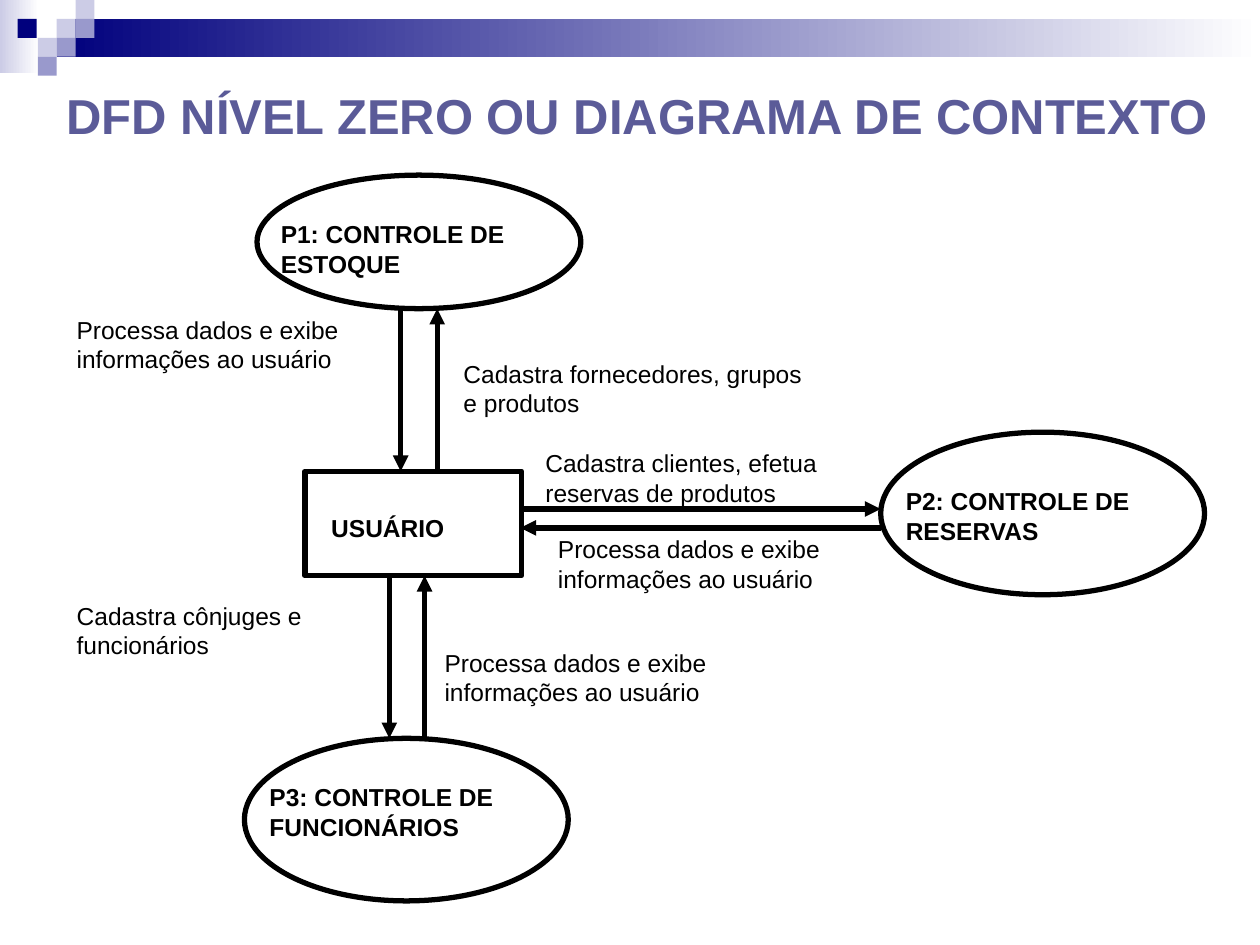
from pptx import Presentation
from pptx import util as u
from pptx.dml.color import RGBColor
from pptx.enum import shapes, text
from pptx.oxml.ns import qn
from lxml import etree

COLORS = {"ink": "000000", "title": "5B5B98", "navy": "00007D",
          "pale": "CCCCE6", "mid": "9999CC", "white": "FFFFFF"}
LABEL = {"name": "Arial", "size": u.Pt(14), "bold": False}
NAME = {**LABEL, "bold": True}
TITLE = {**NAME, "size": u.Pt(28)}
OVAL = shapes.MSO_SHAPE.OVAL
RECTANGLE = shapes.MSO_SHAPE.RECTANGLE

SQUARE = 0.15
SQUARES = [  # left, top, colour
    (0.45, 0.15, "pale"), (0.6, 0, "pale"), (0.6, 0.15, "mid"),
    (0.3, 0.3, "pale"), (0.14, 0.15, "navy"), (0.45, 0.3, "mid"),
    (0.3, 0.45, "mid")]
NODES = [  # preset, outline place, name, name place
    (OVAL, (2.04, 1.39, 2.57, 1.06), "P1: CONTROLE DE ESTOQUE", (2.13, 1.69, 2.48, 0.57)),
    (OVAL, (6.99, 3.43, 2.57, 1.29), "P2: CONTROLE DE RESERVAS", (7.09, 3.81, 2.48, 0.57)),
    (OVAL, (1.94, 5.86, 2.57, 1.29), "P3: CONTROLE DE FUNCIONÁRIOS", (2.04, 6.16, 2.48, 0.57)),
    (RECTANGLE, (2.42, 3.74, 1.72, 0.83), "USUÁRIO", (2.53, 4.02, 1.79, 0.34))]
REPLY = "Processa dados e exibe informações ao usuário"
FLOWS = [  # arrow start, arrow end, label, label left, top, width
    ((3.18, 2.45), (3.18, 3.74), REPLY, 0.51, 2.45, 2.86),
    ((3.47, 3.73), (3.47, 2.45), "Cadastra fornecedores, grupos e produtos", 3.58, 2.8, 2.95),
    ((4.13, 4.04), (6.99, 4.04), "Cadastra clientes, efetua reservas de produtos", 4.23, 3.51, 2.95),
    ((6.99, 4.19), (4.13, 4.19), REPLY, 4.33, 4.19, 2.86),
    ((3.09, 4.57), (3.09, 5.86), "Cadastra cônjuges e funcionários", 0.51, 4.72, 2.95),
    ((3.37, 5.86), (3.37, 4.57), REPLY, 3.43, 5.09, 2.86)]


def inches(values):
    return [u.Inches(value) for value in values]


def rgb(name):
    return RGBColor.from_string(COLORS[name])


def add_block(page, place, *colors):
    """Borderless rectangle: one colour is solid, two make a gradient."""
    block = page.shapes.add_shape(RECTANGLE, *inches(place))
    block.shadow.inherit = False
    block.line.fill.background()
    if len(colors) == 1:
        block.fill.solid()
        block.fill.fore_color.rgb = rgb(colors[0])
    else:
        block.fill.gradient()
        block.fill.gradient_angle = 0
        for stop, position, color in zip(block.fill.gradient_stops, (0, 1), colors):
            stop.position = position
            stop.color.rgb = rgb(color)


def add_text(page, place, words, style, color="ink", anchor=text.MSO_ANCHOR.TOP):
    box = page.shapes.add_textbox(*inches(place))
    frame = box.text_frame
    frame.word_wrap = True
    frame.vertical_anchor = anchor
    span = frame.paragraphs[0].add_run()
    span.text = words
    for key, value in style.items():
        setattr(span.font, key, value)
    span.font.color.rgb = rgb(color)


def set_stroke(line):
    line.color.rgb = rgb("ink")
    line.width = u.Pt(3)


def add_node(page, preset, place, name, name_place):
    node = page.shapes.add_shape(preset, *inches(place))
    node.shadow.inherit = False
    node.fill.background()
    set_stroke(node.line)
    add_text(page, name_place, name, NAME)


def add_arrow(page, start, end):
    arrow = page.shapes.add_connector(
        shapes.MSO_CONNECTOR.STRAIGHT, *inches(start + end))
    set_stroke(arrow.line)
    properties = arrow._element.spPr
    etree.SubElement(properties.find(qn("a:ln")), qn("a:tailEnd"), type="triangle")
    etree.SubElement(properties, qn("a:effectLst"))


def main():
    deck = Presentation()
    deck.slide_width, deck.slide_height = inches((10, 7.5))
    page = deck.slides.add_slide(deck.slide_layouts[6])

    # Header band and squares
    add_block(page, (0, 0, 0.31, 0.58), "pale", "white")
    add_block(page, (0.45, 0.15, 9.55, 0.3), "navy", "white")
    for left, top, color in SQUARES:
        add_block(page, (left, top, SQUARE, SQUARE), color)

    # Title
    add_text(page, (0.43, 0.68, 9.77, 0.47), "DFD NÍVEL ZERO OU DIAGRAMA DE CONTEXTO",
             TITLE, "title", text.MSO_ANCHOR.MIDDLE)

    # Processes and user
    for node in NODES:
        add_node(page, *node)

    # Data flows with their labels
    for start, end, label, left, top, width in FLOWS:
        add_arrow(page, start, end)
        add_text(page, (left, top, width, 0.57), label, LABEL)

    deck.save("out.pptx")


if __name__ == "__main__":
    main()
